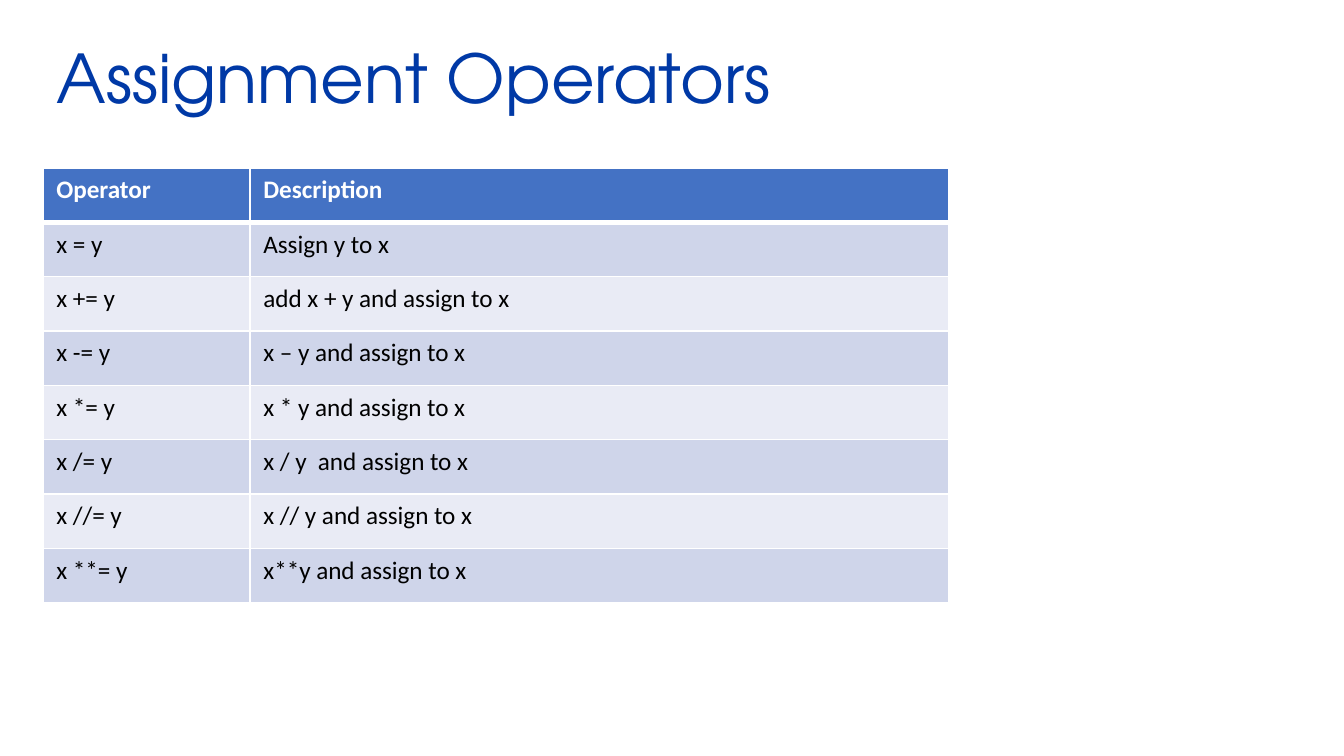
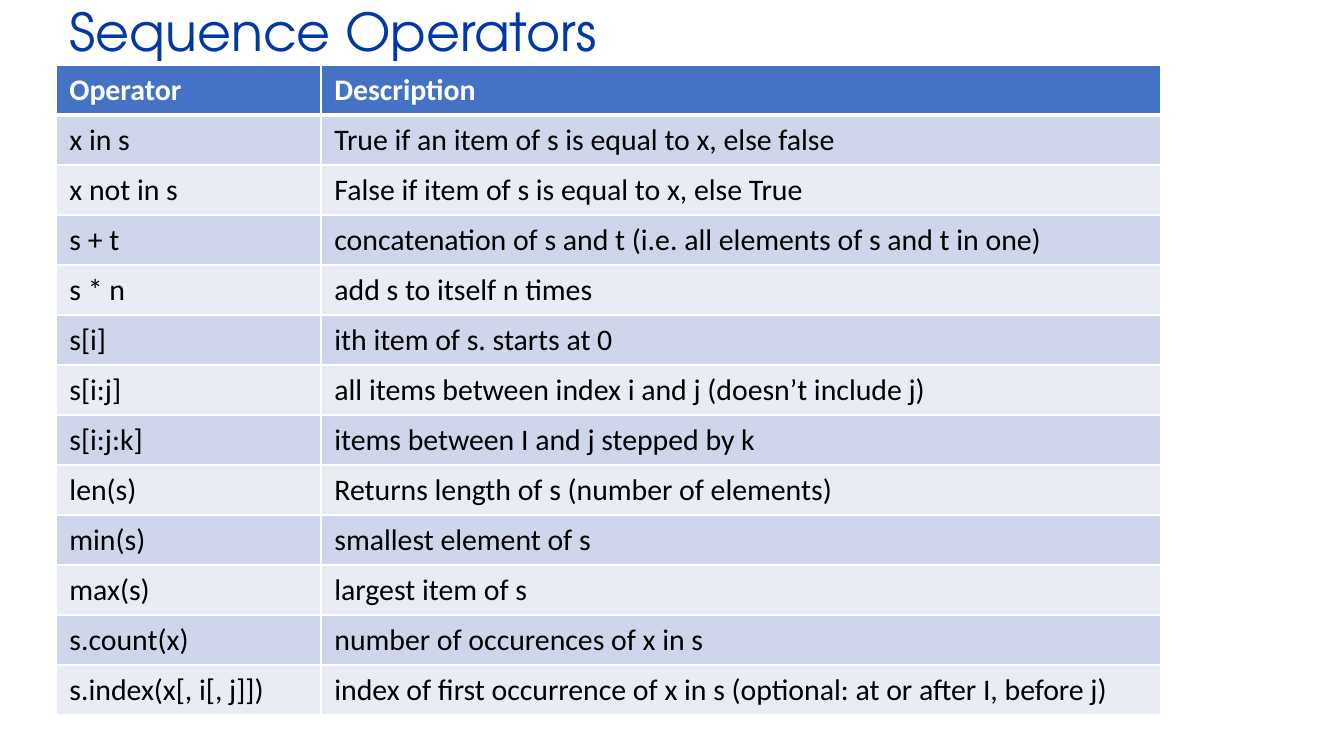
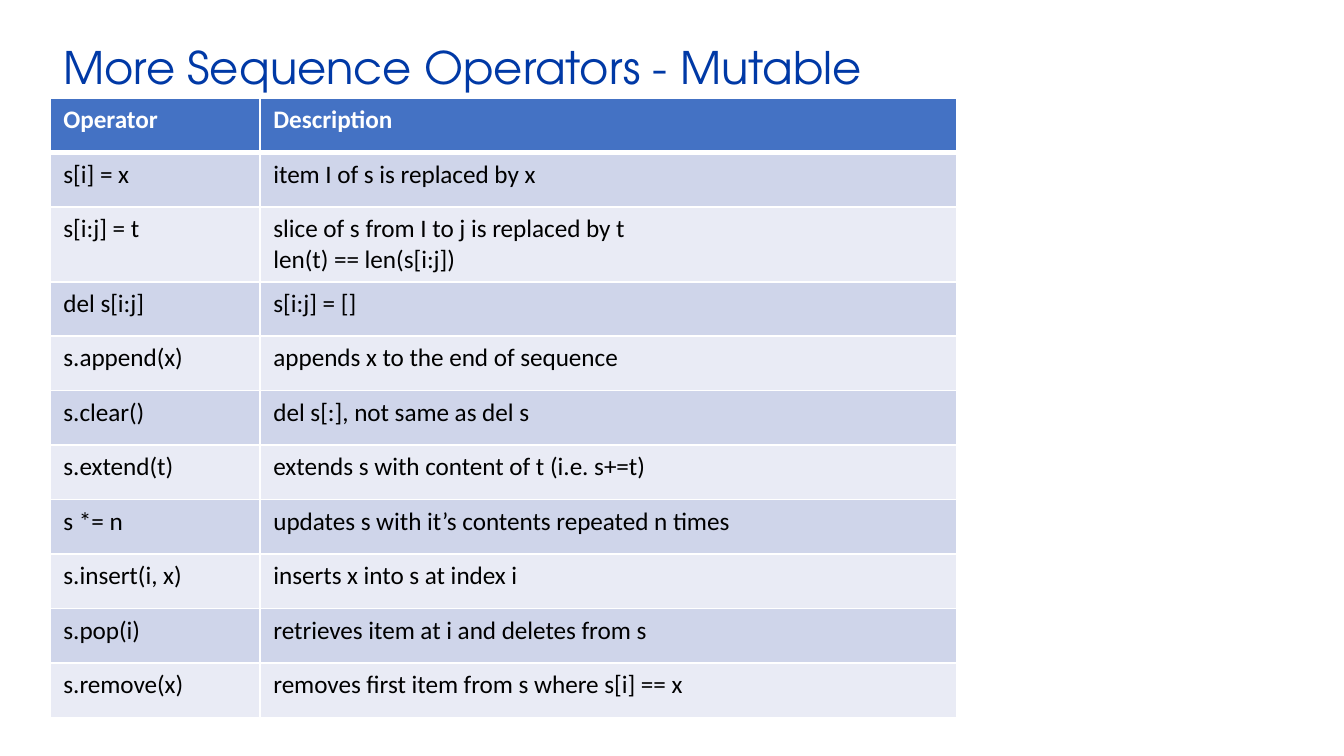
"""Build three slides of Python operator tables."""
from lxml import etree
from pptx import Presentation
from pptx.dml.color import RGBColor
from pptx.enum.text import MSO_ANCHOR, MSO_AUTO_SIZE, PP_ALIGN
from pptx.oxml.ns import qn
from pptx.util import Emu, Pt

TOP, LEFT, NO_FIT = MSO_ANCHOR.TOP, PP_ALIGN.LEFT, MSO_AUTO_SIZE.NONE
TITLE_ONLY = 5
EMU_PER_PX = 914400 / 134.4
SLIDE_SIZE = (1344, 756)
TITLE_WIDTH = 1231
TITLE_FONT, BODY_FONT = "TeX Gyre Adventor", "Calibri"
COLORS = {
    "title": "0039A6",
    "header": "4472C4",
    "odd": "CFD5EA",
    "even": "E9EBF5",
    "text": "000000",
    "white": "FFFFFF",
}
HEADINGS = ("Operator", "Description")

SLIDES = [
    {
        "title": "Assignment Operators",
        "title_size": 36, "title_top": 39, "title_height": 128,
        "left": 43, "table_top": 168, "table_height": 435,
        "columns": (207, 699), "text_size": 13.5,
        "operators": [
            ("x = y", "Assign y to x"),
            ("x += y", "add x + y and assign to x"),
            ("x -= y", "x – y and assign to x"),
            ("x *= y", "x * y and assign to x"),
            ("x /= y", "x / y  and assign to x"),
            ("x //= y", "x // y and assign to x"),
            ("x **= y", "x**y and assign to x"),
        ],
    },
    {
        "title": "Sequence Operators",
        "title_size": 28, "title_top": 0, "title_height": 128,
        "left": 56, "table_top": 65, "table_height": 647,
        "columns": (265, 840), "text_size": 16,
        "operators": [
            ("x in s", "True if an item of s is equal to x, else false"),
            ("x not in s", "False if item of s is equal to x, else True"),
            ("s + t", "concatenation of s and t (i.e. all elements of s and t in one)"),
            ("s * n", "add s to itself n times"),
            ("s[i]", "ith item of s. starts at 0"),
            ("s[i:j]", "all items between index i and j (doesn’t include j)"),
            ("s[i:j:k]", "items between I and j stepped by k"),
            ("len(s)", "Returns length of s (number of elements)"),
            ("min(s)", "smallest element of s"),
            ("max(s)", "largest item of s"),
            ("s.count(x)", "number of occurences of x in s"),
            ("s.index(x[, i[, j]])",
             "index of first occurrence of x in s (optional: at or after I, before j)"),
        ],
    },
    {
        "title": "More Sequence Operators - Mutable",
        "title_size": 24, "title_top": 39, "title_height": 58,
        "left": 50, "table_top": 98, "table_height": 599,
        "columns": (210, 697), "text_size": 13.5,
        "operators": [
            ("s[i] = x", "item I of s is replaced by x"),
            ("s[i:j] = t", "slice of s from I to j is replaced by t\nlen(t) == len(s[i:j])"),
            ("del s[i:j]", "s[i:j] = []"),
            ("s.append(x)", "appends x to the end of sequence"),
            ("s.clear()", "del s[:], not same as del s"),
            ("s.extend(t)", "extends s with content of t (i.e. s+=t)"),
            ("s *= n", "updates s with it’s contents repeated n times"),
            ("s.insert(i, x)", "inserts x into s at index i"),
            ("s.pop(i)", "retrieves item at i and deletes from s"),
            ("s.remove(x)", "removes first item from s where s[i] == x"),
        ],
    },
]


def px(length):
    return Emu(round(length * EMU_PER_PX))


def write(frame, text, *, font, size, color, bold=False, spacing=1.0):
    frame.text = text
    for paragraph in frame.paragraphs:
        paragraph.alignment = LEFT
        paragraph.line_spacing = spacing
        for run in paragraph.runs:
            run.font.name = font
            run.font.size = Pt(size)
            run.font.bold = bold
            run.font.color.rgb = RGBColor.from_string(COLORS[color])


def set_borders(cell, top, bottom):
    properties = cell._tc.get_or_add_tcPr()
    widths = {"a:lnL": 1, "a:lnR": 1, "a:lnT": top, "a:lnB": bottom}
    for position, (side, width) in enumerate(widths.items()):
        line = etree.Element(qn(side), w=str(Pt(width)))
        fill = etree.SubElement(line, qn("a:solidFill"))
        etree.SubElement(fill, qn("a:srgbClr"), val=COLORS["white"])
        properties.insert(position, line)


def add_title(slide, content):
    title = slide.shapes.title
    title.left, title.top = px(content["left"]), px(content["title_top"])
    title.width, title.height = px(TITLE_WIDTH), px(content["title_height"])
    frame = title.text_frame
    frame.word_wrap = True
    frame.auto_size = NO_FIT
    frame.vertical_anchor = TOP
    write(frame, content["title"], font=TITLE_FONT, size=content["title_size"],
          color="title", spacing=0.9)


def add_operators(slide, content):
    rows = [HEADINGS, *content["operators"]]
    columns = content["columns"]
    table = slide.shapes.add_table(
        len(rows), len(columns), px(content["left"]), px(content["table_top"]),
        px(sum(columns)), px(content["table_height"])).table
    for column, width in zip(table.columns, columns):
        column.width = px(width)
    for index, texts in enumerate(rows):
        is_header = index == 0
        band = "header" if is_header else "odd" if index % 2 else "even"
        table.rows[index].height = px(content["table_height"] / len(rows))
        for cell, text in zip(table.rows[index].cells, texts):
            cell.fill.solid()
            cell.fill.fore_color.rgb = RGBColor.from_string(COLORS[band])
            set_borders(cell, top=3 if index == 1 else 1, bottom=3 if is_header else 1)
            write(cell.text_frame, text, font=BODY_FONT, size=content["text_size"],
                  color="white" if is_header else "text", bold=is_header)


def main():
    deck = Presentation()
    deck.slide_width, deck.slide_height = map(px, SLIDE_SIZE)
    for content in SLIDES:
        slide = deck.slides.add_slide(deck.slide_layouts[TITLE_ONLY])
        add_title(slide, content)
        add_operators(slide, content)
    deck.save("out.pptx")


if __name__ == "__main__":
    main()
